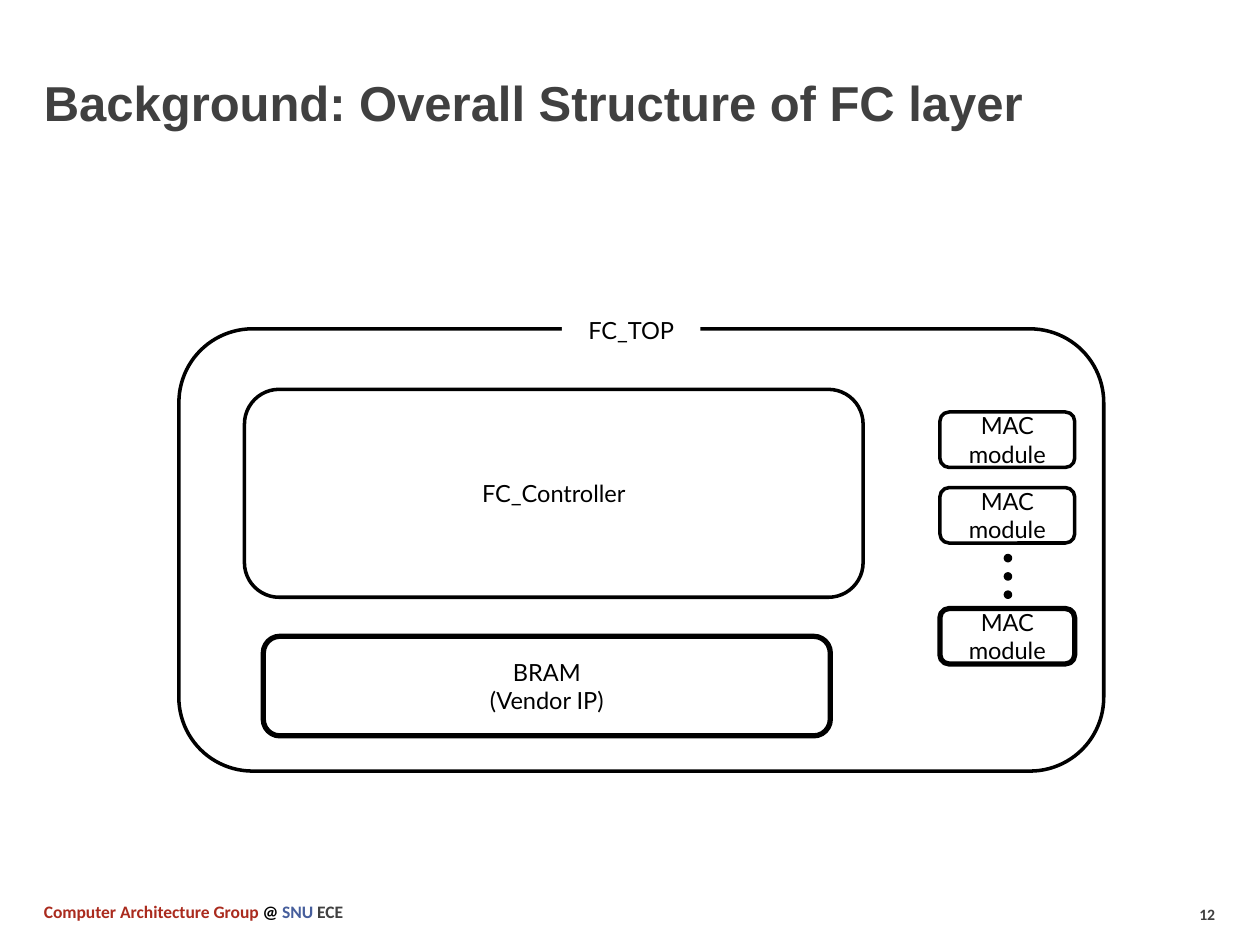
from dataclasses import dataclass
from typing import Any

from pptx import Presentation
from pptx import util as u
from pptx.dml import color
from pptx.enum import shapes, text

INK, GREY, WHITE = "000000", "404040", "FFFFFF"
RED, BLUE = "AA2B1E", "465E9C"


def rgb(value):
    """Turn a hex string into a colour."""
    return color.RGBColor.from_string(value)


def write(paragraph, words, font="Lato", size=13.5, ink=INK, bold=False):
    """Add one formatted run to a paragraph."""
    run = paragraph.add_run()
    run.text = words
    run.font.name = font
    run.font.size = u.Pt(size)
    run.font.bold = bold
    run.font.color.rgb = rgb(ink)


@dataclass
class Diagram:
    """Draw on the current slide, measured on a grid of 100 columns and 75 rows."""

    slide: Any
    cell: int = u.Inches(0.1)
    line_width: float = 2

    def place(self, bounds):
        """Convert left, top, width and height from grid cells to lengths."""
        return [round(value * self.cell) for value in bounds]

    def label(self, bounds, runs, anchor=text.MSO_ANCHOR.TOP, align=text.PP_ALIGN.LEFT,
              fill=None, **style):
        """Add a text box holding one line made of (words, colour) runs."""
        box = self.slide.shapes.add_textbox(*self.place(bounds))
        if fill:
            box.fill.solid()
            box.fill.fore_color.rgb = rgb(fill)
        frame = box.text_frame
        frame.word_wrap = True
        frame.vertical_anchor = anchor
        paragraph = frame.paragraphs[0]
        paragraph.alignment = align
        for words, ink in runs:
            write(paragraph, words, ink=ink, **style)

    def outline(self, kind, bounds, fill=None, width=None):
        """Add a preset shape with a black line and an optional fill."""
        shape = self.slide.shapes.add_shape(kind, *self.place(bounds))
        shape.shadow.inherit = False
        if fill:
            shape.fill.solid()
            shape.fill.fore_color.rgb = rgb(fill)
        else:
            shape.fill.background()
        shape.line.color.rgb = rgb(INK)
        shape.line.width = u.Pt(width or self.line_width)
        return shape

    def block(self, bounds, lines=(), width=None):
        """Add a rounded block with centred lines of text."""
        shape = self.outline(shapes.MSO_SHAPE.ROUNDED_RECTANGLE, bounds, width=width)
        frame = shape.text_frame
        frame.word_wrap = True
        frame.vertical_anchor = text.MSO_ANCHOR.MIDDLE
        for index, words in enumerate(lines):
            paragraph = frame.add_paragraph() if index else frame.paragraphs[0]
            paragraph.alignment = text.PP_ALIGN.CENTER
            write(paragraph, words)

    def dots(self, left, top, pitch, count=3, size=0.4):
        """Add a column of evenly spaced dots."""
        for index in range(count):
            bounds = (left, top + index * pitch, size, size)
            self.outline(shapes.MSO_SHAPE.OVAL, bounds, fill=INK)


def main():
    """Build the slide on the structure of the FC layer."""
    presentation = Presentation()
    presentation.slide_width = u.Inches(10)
    presentation.slide_height = u.Inches(7.5)
    diagram = Diagram(presentation.slides.add_slide(presentation.slide_layouts[6]))

    footer = [("Computer Architecture Group ", RED), ("@ ", INK), ("SNU ", BLUE), ("ECE", GREY)]
    diagram.label((94.2, 71.3, 6.7, 2.5), [("12", GREY)], font="Calibri", size=9, bold=True)
    diagram.label((2.5, 71, 50.4, 2.7), footer, font="Calibri", size=10, bold=True)
    diagram.label((2.5, 1.7, 92.5, 9.2), [("Background: Overall Structure of FC layer", GREY)],
                  anchor=text.MSO_ANCHOR.BOTTOM, font="Arial", size=28, bold=True)

    diagram.block((14.2, 26.1, 73.4, 35.1))
    diagram.block((19.4, 30.9, 49.1, 16.5), ["FC_Controller"])
    diagram.block((20.9, 50.5, 45, 7.9), ["BRAM", "(Vendor IP)"], width=3)
    for top, width in ((32.7, 2), (38.7, 2), (48.3, 3)):
        diagram.block((74.6, top, 10.7, 4.4), ["MAC", "module"], width=width)
    diagram.dots(79.8, 44.1, pitch=1.45)
    diagram.label((44.6, 24.6, 11, 3.3), [("FC_TOP", INK)],
                  align=text.PP_ALIGN.CENTER, fill=WHITE)

    presentation.save("out.pptx")


if __name__ == "__main__":
    main()
